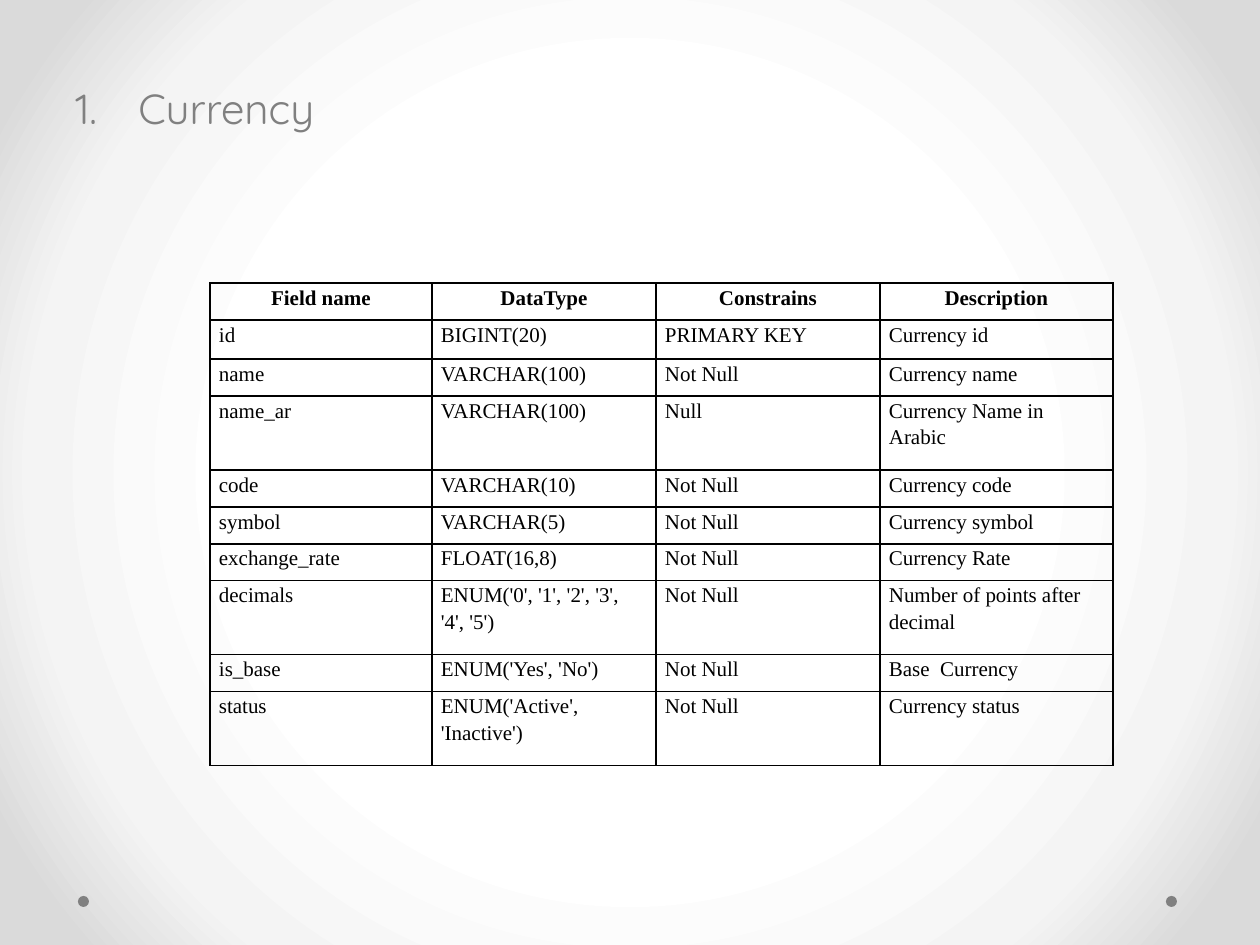
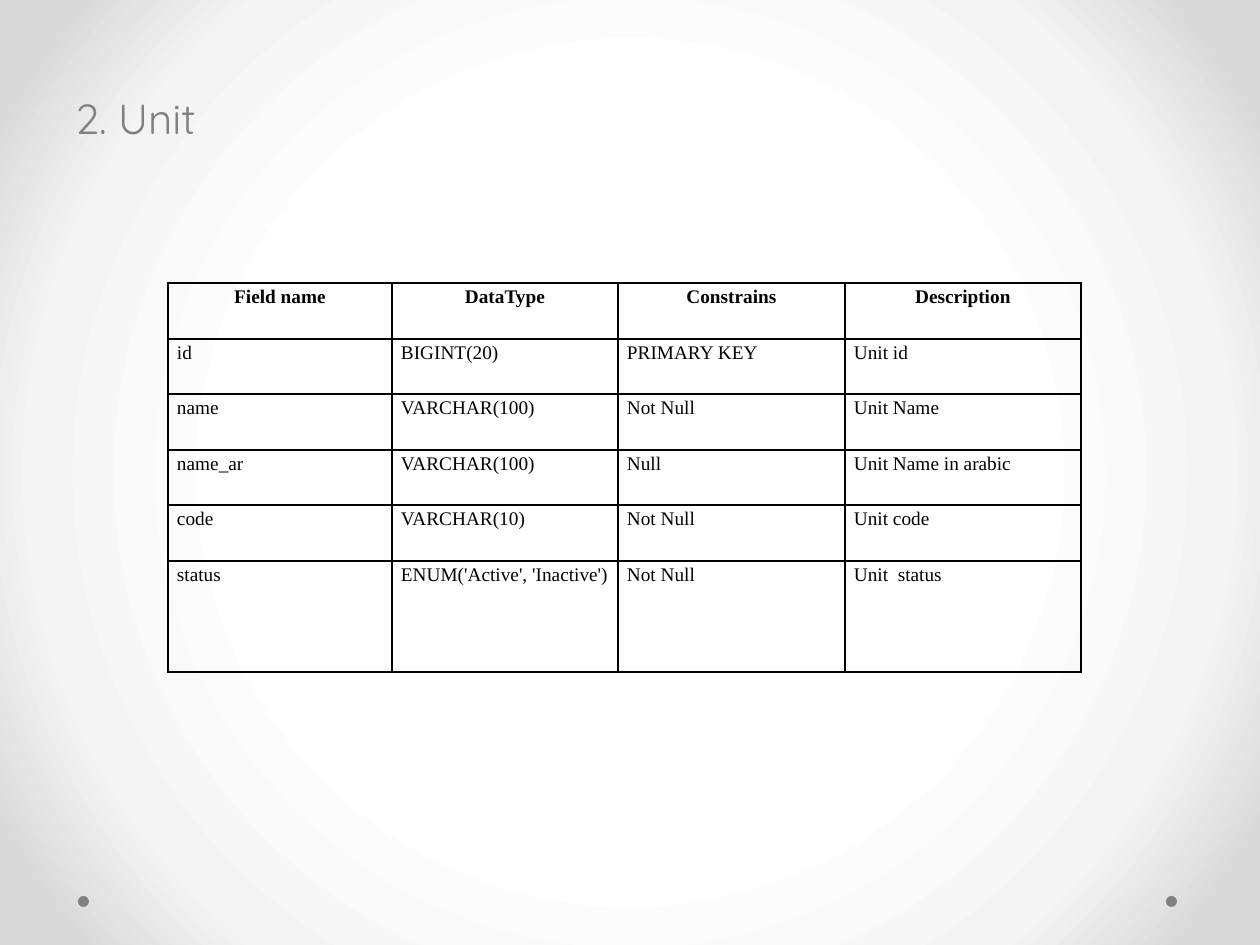
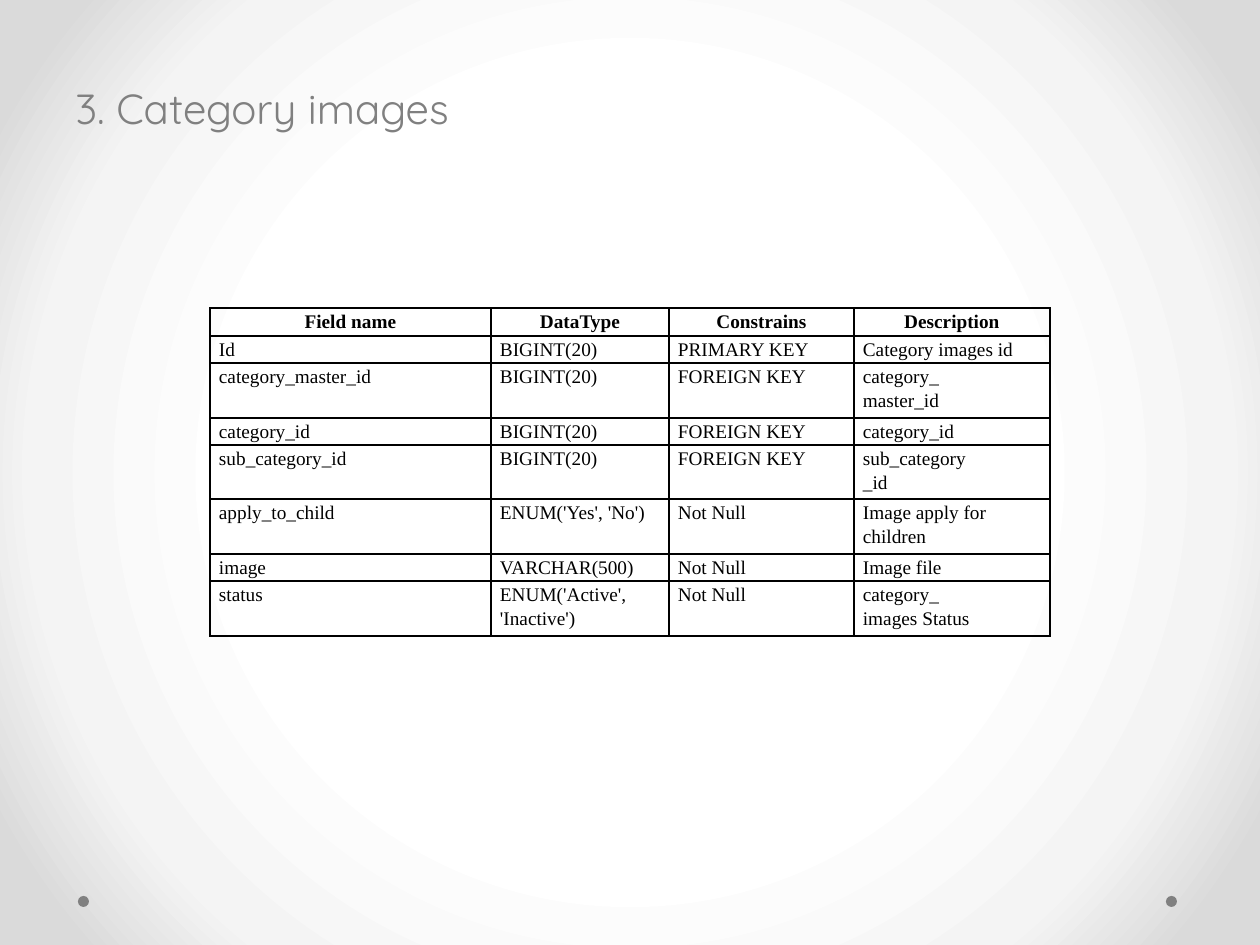
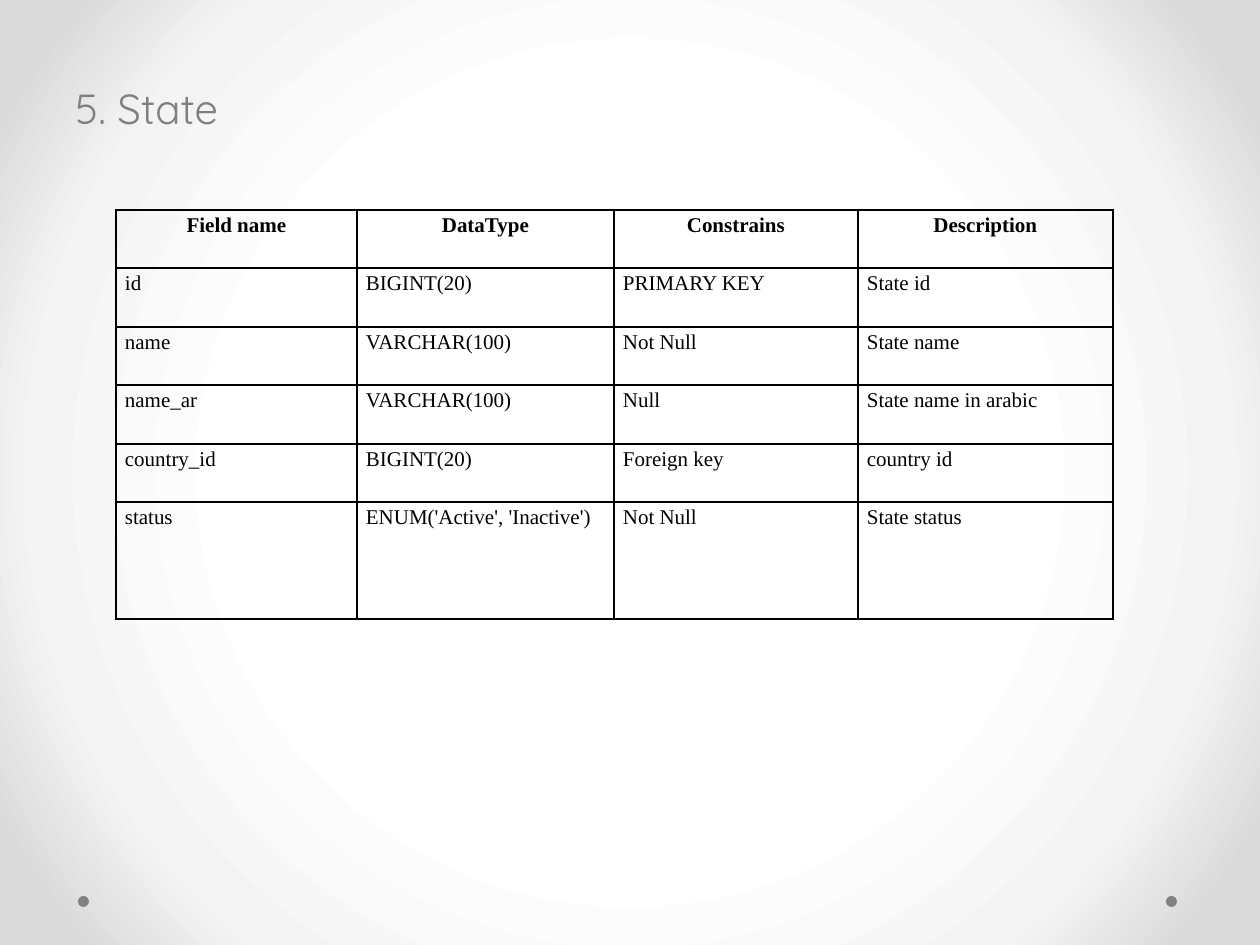
from pptx import Presentation
from pptx import util as u
from pptx.dml.color import RGBColor
from pptx.enum import shapes, text
from pptx.oxml import parse_xml
from pptx.oxml.ns import nsdecls, qn

SCALE = 914400 / 126
GREY = RGBColor(0x80, 0x80, 0x80)
BLACK = RGBColor(0, 0, 0)
GLOW_STOPS = [
    (50, RGBColor(0xFF, 0xFF, 0xFF)),
    (76, RGBColor(0xF4, 0xF4, 0xF4)),
    (92, RGBColor(0xDA, 0xDA, 0xDA)),
]
TITLE_FONT = {"name": "Quicksand", "size": u.Pt(24), "bold": False}
CELL_FONT = {"name": "Times New Roman"}
CELL_MARGINS = {"margin_left": 9, "margin_right": 9, "margin_top": 0, "margin_bottom": 0}
HEADER = ("Field name", "DataType", "Constrains", "Description")
KEY = "BIGINT(20)"
NAME = "VARCHAR(100)"
STATUS = "ENUM('Active', 'Inactive')"

CURRENCY = {
    "title": "Currency",
    "numbered": True,
    "place": (210, 283),
    "size": 12,
    "columns": [222, 224, 224, 233],
    "heights": [37, 39, 37, 74, 37, 37, 37, 74, 37, 74],
    "fields": [
        ("id", KEY, "PRIMARY KEY", "Currency id"),
        ("name", NAME, "Not Null", "Currency name"),
        ("name_ar", NAME, "Null", "Currency Name in Arabic"),
        ("code", "VARCHAR(10)", "Not Null", "Currency code"),
        ("symbol", "VARCHAR(5)", "Not Null", "Currency symbol"),
        ("exchange_rate", "FLOAT(16,8)", "Not Null", "Currency Rate"),
        ("decimals", "ENUM('0', '1', '2', '3', '4', '5')", "Not Null",
         "Number of points after decimal"),
        ("is_base", "ENUM('Yes', 'No')", "Not Null", "Base  Currency"),
        ("status", STATUS, "Not Null", "Currency status"),
    ],
}
UNIT = {
    "title": "2. Unit",
    "title_top": 86,
    "place": (168, 283),
    "size": 11,
    "columns": [224, 226, 227, 236],
    "heights": [56, 55, 56, 55, 56, 111],
    "fields": [
        ("id", KEY, "PRIMARY KEY", "Unit id"),
        ("name", NAME, "Not Null", "Unit Name"),
        ("name_ar", NAME, "Null", "Unit Name in arabic"),
        ("code", "VARCHAR(10)", "Not Null", "Unit code"),
        ("status", STATUS, "Not Null", "Unit  status"),
    ],
}
CATEGORY_IMAGES = {
    "title": "3. Category images",
    "place": (210, 308),
    "size": 11,
    "columns": [281, 178, 185, 196],
    "heights": [28, 27, 55, 27, 54, 55, 27, 55],
    "fields": [
        ("Id", KEY, "PRIMARY KEY", "Category images id"),
        ("category_master_id", KEY, "FOREIGN KEY", "category_\nmaster_id"),
        ("category_id", KEY, "FOREIGN KEY", "category_id"),
        ("sub_category_id", KEY, "FOREIGN KEY", "sub_category\n_id"),
        ("apply_to_child", "ENUM('Yes', 'No')", "Not Null", "Image apply for children"),
        ("image", "VARCHAR(500)", "Not Null", "Image file"),
        ("status", STATUS, "Not Null", "category_\nimages Status"),
    ],
}
STATE = {
    "title": "5. State",
    "place": (116, 210),
    "size": 12,
    "columns": [241, 257, 244, 255],
    "heights": [58, 59, 58, 59, 58, 117],
    "fields": [
        ("id", KEY, "PRIMARY KEY", "State id"),
        ("name", NAME, "Not Null", "State name"),
        ("name_ar", NAME, "Null", "State name in arabic"),
        ("country_id", KEY, "Foreign key", "country id"),
        ("status", STATUS, "Not Null", "State status"),
    ],
}


def px(length):
    return u.Emu(round(length * SCALE))


def apply(target, values):
    for name, value in values.items():
        setattr(target, name, value)


def style_font(font, colour, values):
    apply(font, values)
    font.color.rgb = colour


def set_background(master):
    fill = master.background.fill
    fill.solid()
    stops = "".join(
        f'<a:gs pos="{place * 1000}"><a:srgbClr val="{colour}"/></a:gs>'
        for place, colour in GLOW_STOPS
    )
    glow = parse_xml(
        f'<a:gradFill {nsdecls("a")} rotWithShape="1"><a:gsLst>{stops}</a:gsLst>'
        '<a:path path="circle"><a:fillToRect l="50000" t="50000" r="50000" b="50000"/>'
        "</a:path></a:gradFill>"
    )
    properties = master.element.find(".//" + qn("p:bgPr"))
    properties.replace(properties.find(qn("a:solidFill")), glow)


def add_dots(page):
    for left in (1166, 78):
        dot = page.shapes.add_shape(
            shapes.MSO_SHAPE.OVAL, px(left), px(896), px(11), px(11))
        dot.shadow.inherit = False
        dot.fill.solid()
        dot.fill.fore_color.rgb = GREY
        dot.line.fill.background()


def add_title(page, title, top, numbered):
    box = page.shapes.add_textbox(px(63), px(top), px(1134), px(845 - top))
    box.text_frame.word_wrap = True
    para = box.text_frame.paragraphs[0]
    span = para.add_run()
    span.text = title
    style_font(span.font, GREY, TITLE_FONT)
    if numbered:
        properties = para._p.get_or_add_pPr()
        properties.set("marL", str(px(63)))
        properties.set("indent", str(-px(63)))
        properties.append(parse_xml(
            f'<a:buFont {nsdecls("a")} typeface="+mj-lt"/>'))
        properties.append(parse_xml(
            f'<a:buAutoNum {nsdecls("a")} type="arabicPeriod"/>'))


def add_borders(cell):
    properties = cell._tc.get_or_add_tcPr()
    for side in "LRTB":
        properties.append(parse_xml(
            f'<a:ln{side} {nsdecls("a")} w="{u.Pt(1)}"><a:solidFill>'
            f'<a:srgbClr val="{BLACK}"/></a:solidFill></a:ln{side}>'))


def fill_cell(cell, words, size, heading):
    add_borders(cell)
    cell.fill.background()
    apply(cell, {name: px(margin) for name, margin in CELL_MARGINS.items()})
    cell.text = words
    for para in cell.text_frame.paragraphs:
        para.line_spacing = 1.15
        para.alignment = text.PP_ALIGN.CENTER if heading else text.PP_ALIGN.LEFT
        for span in para.runs:
            style_font(span.font, BLACK, {**CELL_FONT, "size": u.Pt(size), "bold": heading})


def add_field_table(page, entity):
    columns, heights = entity["columns"], entity["heights"]
    left, top = entity["place"]
    table = page.shapes.add_table(
        len(heights), len(columns),
        px(left), px(top), px(sum(columns)), px(sum(heights))).table
    apply(table, {"first_row": False, "horz_banding": False})
    for column, width in zip(table.columns, columns):
        column.width = px(width)
    for row, height, words in zip(table.rows, heights, [HEADER] + entity["fields"]):
        row.height = px(height)
        for cell, word in zip(row.cells, words):
            fill_cell(cell, word, entity["size"], words is HEADER)


def main():
    deck = Presentation()
    apply(deck, {"slide_width": px(1260), "slide_height": px(945)})
    set_background(deck.slide_master)
    for entity in (CURRENCY, UNIT, CATEGORY_IMAGES, STATE):
        page = deck.slides.add_slide(deck.slide_layouts[6])
        add_dots(page)
        add_title(page, entity["title"], entity.get("title_top", 76),
                  entity.get("numbered", False))
        add_field_table(page, entity)
    deck.save("out.pptx")


if __name__ == "__main__":
    main()
